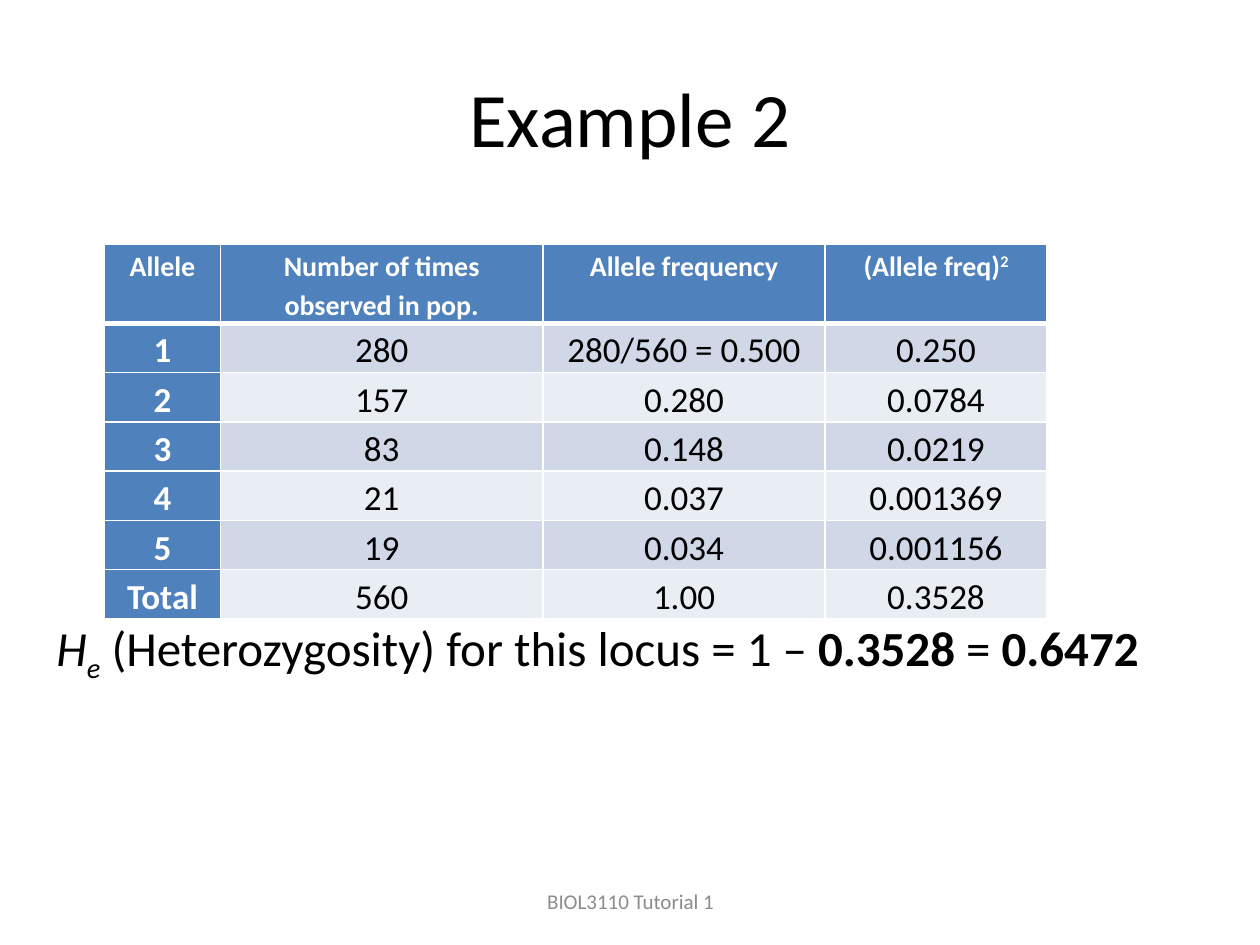
from lxml.etree import SubElement
from pptx import Presentation
from pptx.dml.color import RGBColor
from pptx.enum.text import MSO_ANCHOR, MSO_AUTO_SIZE, PP_ALIGN
from pptx.oxml.ns import qn
from pptx.util import Inches, Pt

FONT = "Calibri"
BLACK = RGBColor(0x00, 0x00, 0x00)
WHITE = RGBColor(0xFF, 0xFF, 0xFF)
GRAY = RGBColor(0x8C, 0x8C, 0x8C)
BLUE = RGBColor(0x4F, 0x81, 0xBD)
BANDS = (RGBColor(0xE9, 0xED, 0xF4), RGBColor(0xD0, 0xD8, 0xE8))

COL_WIDTHS = (0.92, 2.56, 2.24, 1.76)
ROW_HEIGHT = 0.35
ROWS = (
    ("Allele", "Number of times observed in pop.", "Allele frequency", "(Allele freq)"),
    ("1", "280", "280/560 = 0.500", "0.250"),
    ("2", "157", "0.280", "0.0784"),
    ("3", "83", "0.148", "0.0219"),
    ("4", "21", "0.037", "0.001369"),
    ("5", "19", "0.034", "0.001156"),
    ("Total", "560", "1.00", "0.3528"),
)


def add_run(p, text, size, color, bold=False, italic=False, baseline=0):
    """Append a formatted run; baseline is a percentage shift."""
    r = p.add_run()
    r.text = text
    r.font.name, r.font.size = FONT, Pt(size)
    r.font.bold, r.font.italic = bold, italic
    r.font.color.rgb = color
    if baseline:
        r.font._element.set("baseline", str(baseline * 1000))


def set_borders(cell, top, bottom):
    """Draw white borders around a cell, with given top and bottom widths."""
    tcPr = cell._tc.get_or_add_tcPr()
    for side, width in (("L", 1), ("R", 1), ("T", top), ("B", bottom)):
        ln = SubElement(tcPr, qn(f"a:ln{side}"), w=str(Pt(width)))
        fill = SubElement(ln, qn("a:solidFill"))
        SubElement(fill, qn("a:srgbClr"), val=str(WHITE))


def fill_cell(cell, text, row, col):
    """Write and format one table cell according to its position."""
    heading = row == 0 or col == 0
    set_borders(cell, 3 if row == 1 else 1, 3 if row == 0 else 1)
    cell.fill.solid()
    cell.fill.fore_color.rgb = BLUE if heading else BANDS[row % 2]
    cell.margin_left = cell.margin_right = Inches(0.07)
    cell.margin_top = cell.margin_bottom = 0
    p = cell.text_frame.paragraphs[0]
    p.alignment, p.line_spacing = PP_ALIGN.CENTER, 1.15
    add_run(p, text, 16 if row == 0 else 20, WHITE if heading else BLACK, heading)


def add_allele_table(s):
    """Add the table of allele counts and frequencies."""
    table = s.shapes.add_table(
        len(ROWS), len(COL_WIDTHS), Inches(0.83), Inches(1.94),
        Inches(sum(COL_WIDTHS)), Inches(ROW_HEIGHT * len(ROWS))).table
    for column, width in zip(table.columns, COL_WIDTHS):
        column.width = Inches(width)
    for i, values in enumerate(ROWS):
        table.rows[i].height = Inches(ROW_HEIGHT)
        for j, text in enumerate(values):
            fill_cell(table.cell(i, j), text, i, j)
    p = table.cell(0, len(COL_WIDTHS) - 1).text_frame.paragraphs[0]
    add_run(p, "2", 16, WHITE, True, baseline=30)


def add_title(s, text):
    """Place and format the title placeholder."""
    sp = s.shapes.title
    sp.left, sp.top, sp.width, sp.height = (Inches(v) for v in (0.5, 0.3, 9, 1.25))
    tf = sp.text_frame
    tf.text = text
    tf.vertical_anchor = MSO_ANCHOR.MIDDLE
    p = tf.paragraphs[0]
    p.alignment = PP_ALIGN.CENTER
    font = p.runs[0].font
    font.name, font.size, font.color.rgb = FONT, Pt(44), BLACK


def add_text(s, left, top, width, height):
    """Add a wrapping text box and return its text frame."""
    tf = s.shapes.add_textbox(
        Inches(left), Inches(top), Inches(width), Inches(height)).text_frame
    tf.word_wrap = True
    return tf


def add_result(s):
    """Add the line that works out the heterozygosity."""
    tf = add_text(s, 0.35, 4.85, 9.06, 0.57)
    tf.auto_size = MSO_AUTO_SIZE.SHAPE_TO_FIT_TEXT
    p = tf.paragraphs[0]
    add_run(p, "H", 28, BLACK, italic=True)
    add_run(p, "e", 28, BLACK, italic=True, baseline=-25)
    add_run(p, " (Heterozygosity) for this locus = 1 – ", 28, BLACK)
    add_run(p, "0.3528", 28, BLACK, bold=True)
    add_run(p, " = ", 28, BLACK)
    add_run(p, "0.6472", 28, BLACK, bold=True)


def add_footer(s, text):
    """Add the centred footer text."""
    tf = add_text(s, 3.42, 6.95, 3.17, 0.4)
    tf.vertical_anchor = MSO_ANCHOR.MIDDLE
    p = tf.paragraphs[0]
    p.alignment = PP_ALIGN.CENTER
    add_run(p, text, 12, GRAY)


def main():
    """Build and save the slide."""
    prs = Presentation()
    prs.slide_width, prs.slide_height = Inches(10), Inches(7.5)
    s = prs.slides.add_slide(prs.slide_layouts[5])
    add_title(s, "Example 2")
    add_allele_table(s)
    add_result(s)
    add_footer(s, "BIOL3110 Tutorial 1")
    prs.save("out.pptx")


if __name__ == "__main__":
    main()
